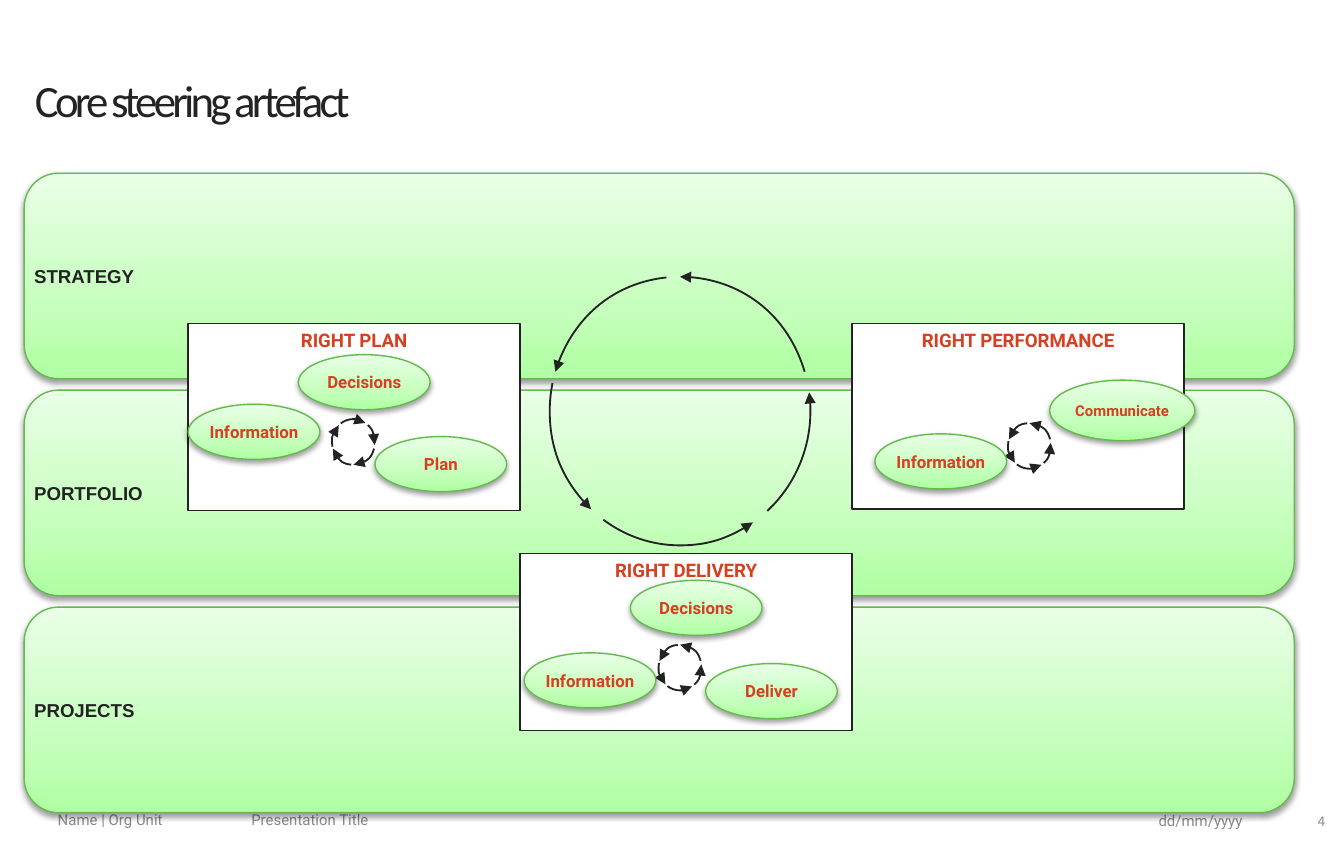
import math
from lxml import etree
from pptx import Presentation
from pptx import util as u
from pptx.dml.color import RGBColor
from pptx.enum import shapes, text
from pptx.oxml import parse_xml
from pptx.oxml.ns import nsdecls, qn

COLORS = {"ink": "232323", "red": "D63F20", "grey": "8A8A8A", "white": "FFFFFF", "edge": "63BA4D"}
GRADIENT = [(0, "AFFFA2"), (35, "C6FFBD"), (100, "E9FFE6")]

BANDS = ["STRATEGY", "PORTFOLIO", "PROJECTS"]
PANELS = [
    ("RIGHT PLAN", 1.4, 2.41, 1.39),
    ("RIGHT DELIVERY", 3.87, 4.12, 1.32),
    ("RIGHT PERFORMANCE", 6.34, 2.41, 1.38),
]
OVAL = (0.98, 0.41, 9)
WIDE_OVAL = (1.08, 0.45, 8)
OVALS = [
    ("Information", 1.4, 3.01, OVAL),
    ("Decisions", 2.22, 2.64, OVAL),
    ("Plan", 2.79, 3.25, OVAL),
    ("Deliver", 5.25, 4.94, OVAL),
    ("Communicate", 7.81, 2.83, WIDE_OVAL),
    ("Information", 6.51, 3.23, OVAL),
    ("Information", 3.9, 4.86, OVAL),
    ("Decisions", 4.69, 4.32, OVAL),
]
LARGE, SMALL = (0.97, 1.0), (0.16, 0.17)
RINGS = [
    (5.06, 3.06, LARGE, 1),
    (7.66, 3.32, SMALL, 1),
    (5.06, 4.97, SMALL, 1),
    (2.63, 3.29, SMALL, -1),
]
ARCS = [(17, 90), (96, 163), (168, 227), (234, 304), (312, 368)]
FOOTERS = [
    ("Name | Org Unit\tPresentation Title", 0.38, 5.98, 7.07, "Roboto", "LEFT"),
    ("dd/mm/yyyy", 8.57, 5.99, 0.88, "Roboto", "LEFT"),
    ("4", 9.73, 5.99, 0.18, "Calibri", "RIGHT"),
]


def rgb(name):
    return RGBColor.from_string(COLORS[name])


def write(shape, words, font, size, color, align="CENTER", anchor="MIDDLE", inset=0, bold=True):
    frame = shape.text_frame
    frame.word_wrap = True
    frame.vertical_anchor = getattr(text.MSO_ANCHOR, anchor)
    frame.margin_left = frame.margin_right = u.Inches(inset)
    frame.margin_top = frame.margin_bottom = u.Inches(inset)
    para = frame.paragraphs[0]
    para.alignment = getattr(text.PP_ALIGN, align)
    span = para.add_run()
    span.text = words
    span.font.name = font
    span.font.size = u.Pt(size)
    span.font.bold = bold
    span.font.color.rgb = rgb(color)
    return para


def add_box(kind, left, top, width, height, line):
    box = page.shapes.add_shape(kind, *map(u.Inches, (left, top, width, height)))
    box.shadow.inherit = False
    box.fill.solid()
    box.fill.fore_color.rgb = rgb("white")
    box.line.color.rgb = rgb(line)
    box.line.width = u.Pt(0.75)
    return box


def make_green(box):
    props = box.element.spPr
    stops = "".join(
        f'<a:gs pos="{pos * 1000}"><a:srgbClr val="{color}"/></a:gs>' for pos, color in GRADIENT
    )
    gradient = parse_xml(
        f'<a:gradFill {nsdecls("a")} rotWithShape="1"><a:gsLst>{stops}</a:gsLst>'
        '<a:lin ang="16200000" scaled="0"/></a:gradFill>'
    )
    props.replace(props.find(qn("a:solidFill")), gradient)
    shadow = parse_xml(
        f'<a:outerShdw {nsdecls("a")} blurRad="{u.Pt(3)}" dist="{u.Pt(1.6)}" dir="5400000" '
        'rotWithShape="0"><a:srgbClr val="000000"><a:alpha val="38000"/></a:srgbClr></a:outerShdw>'
    )
    props.find(qn("a:effectLst")).append(shadow)


def add_arc(x, y, radii, turn, start, end):
    def place(across, up):
        return u.Inches(x + radii[0] * across), u.Inches(y - turn * radii[1] * up)

    stops = [start] + [a for a in (180, 270, 360) if start < a < end] + [end]
    angles = [math.radians(a) for a in stops]
    nodes = [place(math.cos(a), math.sin(a)) for a in angles]
    builder = page.shapes.build_freeform(*nodes[0])
    builder.add_line_segments(nodes[1:], close=False)
    arc = builder.convert_to_shape()
    segments = list(arc.element.iter(qn("a:lnTo")))
    for segment, a, b in zip(segments, angles, angles[1:]):
        pull = 4 / 3 * math.tan((b - a) / 4)
        curve = etree.Element(qn("a:cubicBezTo"))
        for angle, reach in ((a, pull), (b, -pull), (b, 0)):
            left, top = place(
                math.cos(angle) - reach * math.sin(angle),
                math.sin(angle) + reach * math.cos(angle),
            )
            etree.SubElement(curve, qn("a:pt"), x=str(left - arc.left), y=str(top - arc.top))
        segment.getparent().replace(segment, curve)
    arc.shadow.inherit = False
    arc.fill.background()
    arc.line.color.rgb = rgb("ink")
    arc.line.width = u.Pt(1)
    etree.SubElement(arc.element.spPr.find(qn("a:ln")), qn("a:tailEnd"), type="triangle")


deck = Presentation()
deck.slide_width, deck.slide_height = u.Inches(10), u.Inches(6.32)
page = deck.slides.add_slide(deck.slide_layouts[5])

title = page.shapes.title
title.left, title.top, title.width, title.height = map(u.Inches, (0.18, 0.23, 8.27, 0.71))
para = write(title, "Core steering artefact", "Calibri", 24, "ink", "LEFT", "BOTTOM", bold=False)
para._p.get_or_add_pPr().set("marL", str(u.Inches(0.08)))
para.runs[0].font._element.set("spc", "-200")

for words, left, top, width, font, align in FOOTERS:
    footer = page.shapes.add_textbox(*map(u.Inches, (left, top, width, 0.24)))
    para = write(footer, words, font, 8, "grey", align, inset=0.05, bold=False)
    if "\t" in words:
        tabs = etree.SubElement(para._p.get_or_add_pPr(), qn("a:tabLst"))
        etree.SubElement(tabs, qn("a:tab"), pos=str(u.Inches(1.44)), algn="l")

for row, label in reversed(list(enumerate(BANDS))):
    band = add_box(shapes.MSO_SHAPE.ROUNDED_RECTANGLE, 0.18, 1.29 + 1.615 * row, 9.45, 1.53, "edge")
    make_green(band)
    write(band, label, "Arial", 10, "ink", "LEFT")

for label, left, top, height in PANELS:
    panel = add_box(shapes.MSO_SHAPE.RECTANGLE, left, top, 2.47, height, "ink")
    write(panel, label, "Roboto", 10, "red", anchor="TOP", inset=0.04)

for x, y, radii, turn in RINGS:
    for start, end in ARCS:
        add_arc(x, y, radii, turn, start, end)

for label, left, top, (width, height, size) in OVALS:
    oval = add_box(shapes.MSO_SHAPE.OVAL, left, top, width, height, "edge")
    make_green(oval)
    write(oval, label, "Roboto", size, "red")

deck.save("out.pptx")
